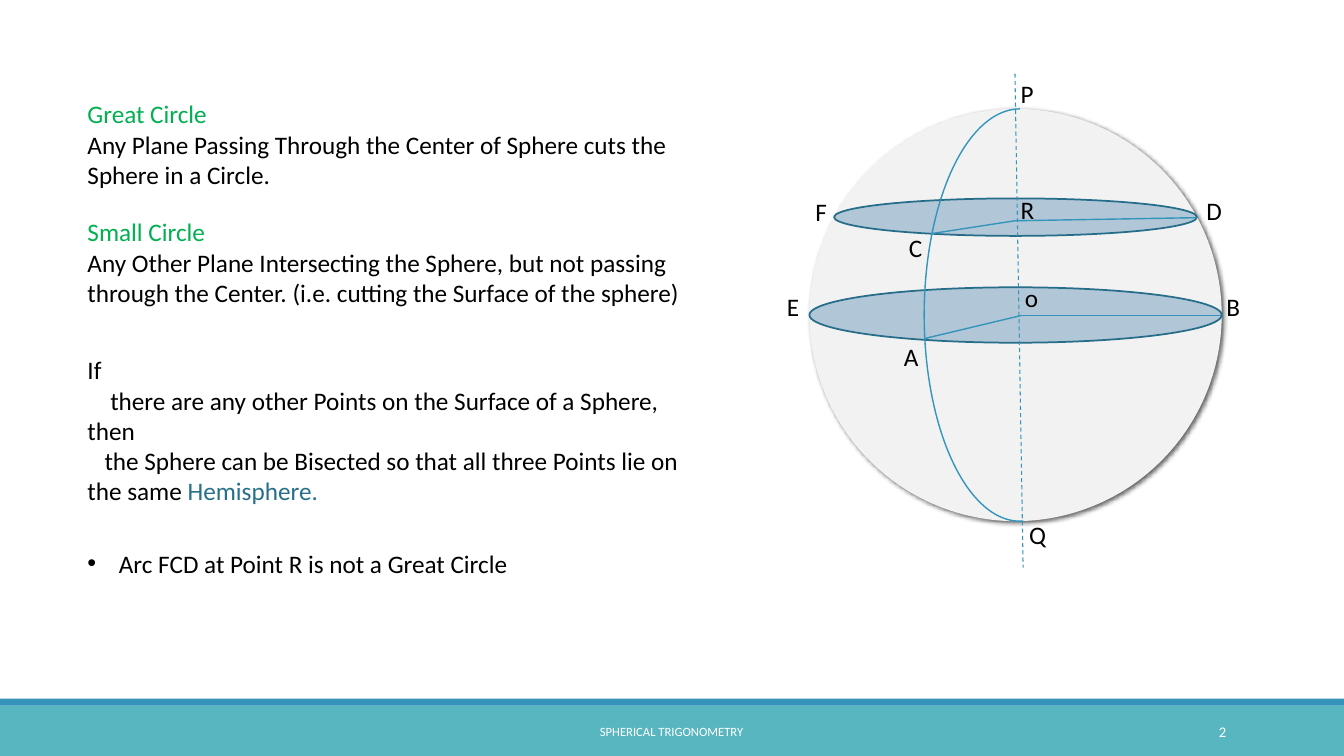
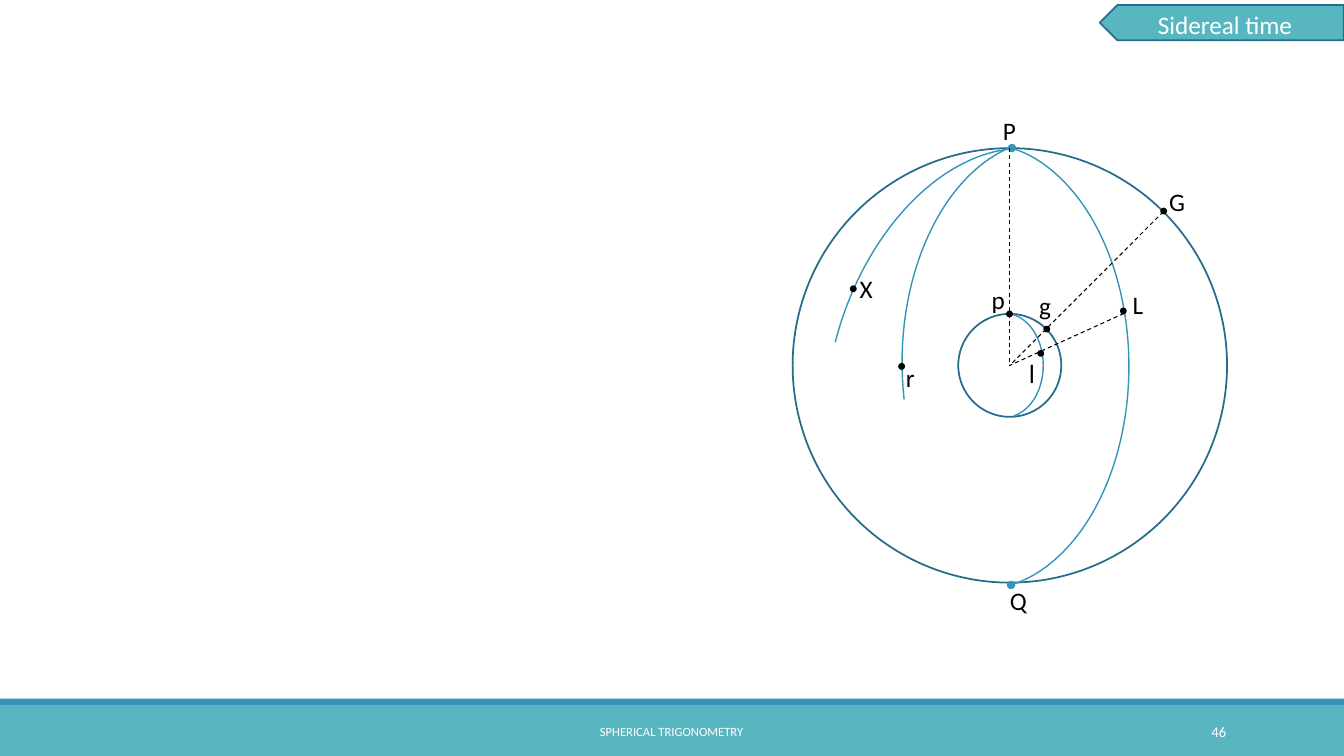
from lxml import etree
from pptx import Presentation
from pptx.dml.color import RGBColor
from pptx.enum.dml import MSO_LINE
from pptx.enum.shapes import MSO_CONNECTOR, MSO_SHAPE
from pptx.enum.text import MSO_ANCHOR, MSO_AUTO_SIZE, PP_ALIGN
from pptx.oxml.ns import qn
from pptx.util import Pt

ARC, OVAL = MSO_SHAPE.ARC, MSO_SHAPE.OVAL
RECT, PENTAGON = MSO_SHAPE.RECTANGLE, MSO_SHAPE.PENTAGON
STRAIGHT, DASH = MSO_CONNECTOR.STRAIGHT, MSO_LINE.DASH
MIDDLE, NO_FIT = MSO_ANCHOR.MIDDLE, MSO_AUTO_SIZE.NONE
CENTER, RIGHT = PP_ALIGN.CENTER, PP_ALIGN.RIGHT

WIDTH, HEIGHT = 960, 540
TITLE_ONLY, BLANK = 5, 6
FONT = "Calibri"
COLORS = {
    "teal": "58B6C0",
    "blue": "3494BA",
    "outline": "266D8A",
    "accent": "276F8B",
    "plane": "B1C6D7",
    "sphere": "F2F2F2",
    "green": "00B050",
    "black": "000000",
    "white": "FFFFFF",
}


def rgb(name):
    """Return the named colour."""
    return RGBColor.from_string(COLORS[name])


def pts(*values):
    """Convert numbers to point lengths."""
    return [Pt(v) for v in values]


def write(p, text, size=18, color="black", font=FONT, align=None, margin=0, indent=0, bullet=None):
    """Add a formatted run to a paragraph."""
    r = p.add_run()
    r.text = text
    r.font.size = Pt(size)
    r.font.name = font
    r.font.bold = False
    r.font.color.rgb = rgb(color)
    if align is not None:
        p.alignment = align
    if margin or indent:
        pPr = p._p.get_or_add_pPr()
        pPr.set("marL", str(Pt(margin)))
        pPr.set("indent", str(Pt(indent)))
        if bullet:
            etree.SubElement(pPr, qn("a:buFont")).set("typeface", "Arial")
            etree.SubElement(pPr, qn("a:buChar")).set("char", bullet)


def add_text(s, x, y, w, h, *paragraphs, anchor=None, **fmt):
    """Add a text box whose paragraphs are lists of (text, format) runs."""
    tf = s.shapes.add_textbox(*pts(x, y, w, h)).text_frame
    tf.word_wrap = True
    if anchor is not None:
        tf.vertical_anchor = anchor
    for i, runs in enumerate(paragraphs):
        p = tf.add_paragraph() if i else tf.paragraphs[0]
        for text, own in runs:
            write(p, text, **{**fmt, **own})


def add_labels(s, labels):
    """Place single-letter labels given as (letter, x, y)."""
    for letter, x, y in labels:
        add_text(s, x, y, 32, 28.8, [(letter, {})])


def style_line(line, color, width, dash=None):
    """Colour and size a line."""
    line.color.rgb = rgb(color)
    line.width = Pt(width)
    if dash is not None:
        line.dash_style = dash


def add_shape(s, kind, x, y, w, h, fill=None, line=None, width=1.25):
    """Add a preset shape without shadow."""
    sp = s.shapes.add_shape(kind, *pts(x, y, w, h))
    sp.shadow.inherit = False
    if fill:
        sp.fill.solid()
        sp.fill.fore_color.rgb = rgb(fill)
    else:
        sp.fill.background()
    if line:
        style_line(sp.line, line, width)
    else:
        sp.line.fill.background()
    return sp


def add_ellipse(s, cx, cy, w, h=None, **look):
    """Add an ellipse around its centre, a circle if no height is given."""
    h = h or w
    return add_shape(s, OVAL, cx - w / 2, cy - h / 2, w, h, **look)


def add_arc(s, x, y, w, h, start, end, rotation=0, ends=None):
    """Add an arc between two angles, each in units of 5/3 degree."""
    sp = add_shape(s, ARC, x, y, w, h, line="blue", width=1)
    sp.adjustments[0], sp.adjustments[1] = start, end
    sp.rotation = rotation
    if ends:
        ln = sp.element.spPr.find(qn("a:ln"))
        for tag in ("a:headEnd", "a:tailEnd"):
            etree.SubElement(ln, qn(tag)).set("type", ends)


def add_line(s, x1, y1, x2, y2, color="blue", width=1, dash=None):
    """Add a straight line without shadow."""
    c = s.shapes.add_connector(STRAIGHT, *pts(x1, y1, x2, y2))
    style_line(c.line, color, width, dash)
    etree.SubElement(c.element.spPr, qn("a:effectLst"))


def add_shadow(sp, blur, distance, degrees, opacity):
    """Give a shape a soft black outer shadow."""
    effects = sp.element.spPr.find(qn("a:effectLst"))
    shadow = etree.SubElement(effects, qn("a:outerShdw"), blurRad=str(Pt(blur)),
                              dist=str(Pt(distance)), dir=str(degrees * 60000),
                              algn="tl", rotWithShape="0")
    color = etree.SubElement(shadow, qn("a:srgbClr"), val=COLORS["black"])
    etree.SubElement(color, qn("a:alpha"), val=str(opacity * 1000))


def add_slide(prs, layout, number):
    """Add a slide with the shared bands and footer."""
    s = prs.slides.add_slide(prs.slide_layouts[layout])
    add_shape(s, RECT, 0, 504, WIDTH, 36, fill="teal")
    add_shape(s, RECT, 0, 499, WIDTH, 5, fill="blue")
    footer = {"anchor": MIDDLE, "color": "white"}
    add_text(s, 290, 508.3, 379.4, 28.8, [("SPHERICAL TRIGONOMETRY", {})],
             size=9, align=CENTER, **footer)
    add_text(s, 780, 508.3, 103, 28.8, [(str(number), {})],
             size=10.5, align=RIGHT, **footer)
    return s


def add_tag_title(s, text):
    """Set the title in a left-pointing tag at the top right."""
    tag = add_shape(s, PENTAGON, 785.5, 3.6, 174.3, 25.2, fill="teal", line="outline")
    tag.rotation = 180
    title = s.shapes.title
    title.element.addprevious(tag.element)
    title.left, title.top, title.width, title.height = pts(790, 2.9, 170, 28.8)
    tf = title.text_frame
    tf.auto_size = NO_FIT
    tf.vertical_anchor = MIDDLE
    write(tf.paragraphs[0], text, color="white", align=CENTER)


def add_definition(s, y, term, meaning):
    """Add a green term with its meaning below."""
    add_text(s, 55.4, y, 445.7, 74, [(term, {"color": "green"})], [(meaning, {})])


def circles_slide(prs):
    """Build the slide on great and small circles."""
    s = add_slide(prs, BLANK, 2)
    add_definition(s, 67, "Great Circle",
                   "Any Plane Passing Through the Center of Sphere cuts the Sphere in a Circle.")
    add_definition(s, 151.2, "Small Circle",
                   "Any Other Plane Intersecting the Sphere, but not passing through the Center. "
                   "(i.e. cutting the Surface of the sphere)")
    add_text(s, 55.4, 249.8, 458, 116.6,
             [("If", {})],
             [("there are any other Points on the Surface of a Sphere, then", {"indent": 16.3})],
             [("the Sphere can be Bisected so that all three Points lie on the same ",
               {"indent": 12.2}),
              ("Hemisphere.", {"color": "accent"})])
    add_text(s, 55.4, 388, 333.4, 28.8,
             [("Arc FCD at Point R is not a Great Circle",
               {"margin": 22.5, "indent": -22.5, "bullet": "•"})])

    sphere = add_ellipse(s, 725.4, 225, 294.5, fill="sphere")
    add_shadow(sphere, blur=3.5, distance=2, degrees=45, opacity=60)
    for cy, w, h in ((225, 294.5, 39.6), (155.1, 259.2, 26.8)):
        add_ellipse(s, 725.4, cy, w, h, fill="plane", line="outline")
    for ends in ((872, 225.4, 728, 225.4), (660.2, 241.9, 729.4, 225.4),
                 (854.6, 155.5, 725, 157.7), (725, 157.7, 664.6, 167)):
        add_line(s, *ends)
    add_arc(s, 660.2, 77.8, 136.8, 294.5, 53.44, 162)
    add_line(s, 725, 52.6, 730.8, 405.4, width=0.75, dash=DASH)
    add_labels(s, (("P", 722, 52.6), ("F", 575.3, 136.8), ("D", 854.6, 136),
                   ("R", 722, 135.4), ("C", 642.2, 162.7), ("o", 725, 198),
                   ("E", 555, 204.5), ("B", 869, 204.5), ("A", 638.6, 240.5),
                   ("Q", 728, 367.2)))


def sidereal_slide(prs):
    """Build the slide on sidereal time."""
    s = add_slide(prs, TITLE_ONLY, 46)
    add_tag_title(s, "Sidereal time")
    cx, cy = 721.3, 261
    for diameter in (310.3, 73.6):
        add_ellipse(s, cx, cy, diameter, line="outline")
    add_arc(s, 594.7, 102.2, 211.7, 319, 166.88, 49.27, ends="oval")
    add_arc(s, 644.4, 99.4, 211.7, 319, 99.47, 155.83)
    add_arc(s, 596.2, 101.5, 211.7, 319, 102.19, 155.83, rotation=18.5)
    add_arc(s, 690.5, 223.9, 54.7, 74.2, 166.43, 48.15)
    for x, y in ((cx, 105.8), (831, 151.2), (802.8, 223.9)):
        add_line(s, x, y, cx, cy, color="black", width=0.75, dash=DASH)
    for x, y in ((743.4, 252.4), (609.5, 206.3), (644, 261.7), (721.1, 224.3),
                 (747.7, 235.1), (802.4, 222.1), (831.2, 150.8)):
        add_ellipse(s, x, y, 3.6, fill="black", line="black")
    add_labels(s, (("P", 709.2, 78.5), ("G", 828, 129.6), ("X", 607, 191.5),
                   ("L", 802, 203), ("p", 701.3, 199.4), ("g", 735.1, 203.8),
                   ("r", 640, 255.6), ("Q", 714.2, 414.7)))
    add_text(s, 728, 252.7, 32, 28.8, [("l", {"font": "Arial"})])


def main():
    """Build and save the presentation."""
    prs = Presentation()
    prs.slide_width, prs.slide_height = pts(WIDTH, HEIGHT)
    circles_slide(prs)
    sidereal_slide(prs)
    prs.save("out.pptx")


if __name__ == "__main__":
    main()
